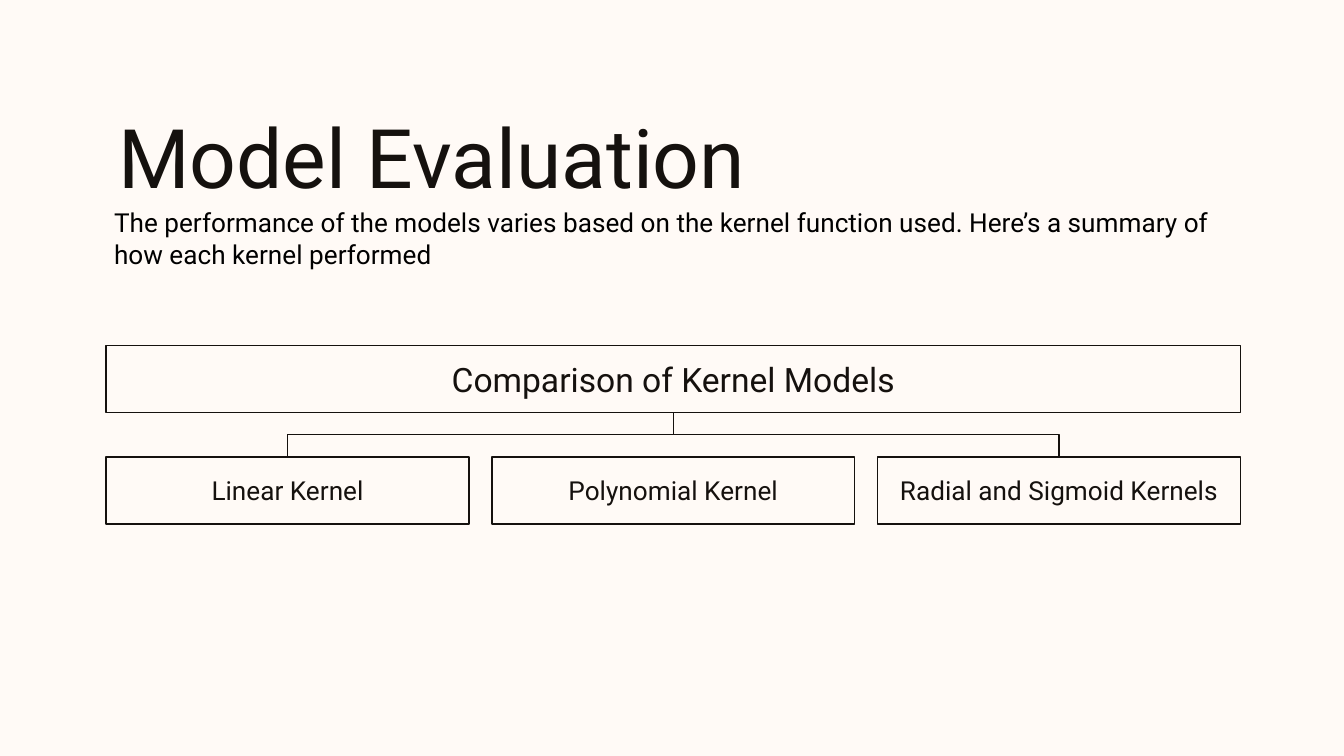
"""Build the Model Evaluation slide with its kernel comparison tree."""
from lxml import etree
from pptx import Presentation
from pptx.dml.color import RGBColor
from pptx.enum.shapes import MSO_CONNECTOR, MSO_SHAPE
from pptx.enum.text import MSO_ANCHOR, MSO_AUTO_SIZE, PP_ALIGN
from pptx.oxml.ns import qn
from pptx.util import Inches, Pt

ELBOW, RECT = MSO_CONNECTOR.ELBOW, MSO_SHAPE.RECTANGLE
TOP, MIDDLE = MSO_ANCHOR.TOP, MSO_ANCHOR.MIDDLE
LEFT, CENTER = PP_ALIGN.LEFT, PP_ALIGN.CENTER
NO_FIT = MSO_AUTO_SIZE.NONE

TITLE = "Model Evaluation"
SUMMARY = ("The performance of the models varies based on the kernel function used. "
           "Here’s a summary of how each kernel performed")
ROOT = "Comparison of Kernel Models"
KERNELS = ["Linear Kernel", "Polynomial Kernel", "Radial and Sigmoid Kernels"]

THEME = {
    "font": "Roboto",
    "background": RGBColor.from_string("FFFAF6"),
    "ink": RGBColor.from_string("15110E"),
    "black": RGBColor.from_string("000000"),
    "title": 44, "root": 18, "body": 14, "line": 0.75,
}

TREE_LEFT, TREE_WIDTH, BOX_HEIGHT = 0.79, 8.44, 0.5
ROOT_TOP, KERNEL_TOP, GAP = 2.57, 3.4, 0.17


def write(sp, text, size, color="ink", align=LEFT, anchor=TOP, inset=0.1):
    tf = sp.text_frame
    tf.word_wrap = True
    tf.auto_size = NO_FIT
    tf.vertical_anchor = anchor
    tf.margin_left = tf.margin_right = Inches(0.1)
    tf.margin_top = tf.margin_bottom = Inches(inset)
    p = tf.paragraphs[0]
    p.alignment = align
    r = p.add_run()
    r.text = text
    r.font.name = THEME["font"]
    r.font.size = Pt(THEME[size])
    r.font.color.rgb = THEME[color]


def outline(sp):
    sp.line.color.rgb = THEME["ink"]
    sp.line.width = Pt(THEME["line"])


def add_box(s, text, left, top, width, size):
    sp = s.shapes.add_shape(RECT, Inches(left), Inches(top), Inches(width), Inches(BOX_HEIGHT))
    sp.shadow.inherit = False
    sp.fill.background()
    outline(sp)
    write(sp, text, size, align=CENTER, anchor=MIDDLE)


def add_branch(s, x1, y1, x2, y2):
    mid_x, mid_y = (x1 + x2) / 2, (y1 + y2) / 2
    half_w, half_h = (y2 - y1) / 2, abs(x2 - x1) / 2
    side = 1 if x2 > x1 else -1
    sp = s.shapes.add_connector(
        ELBOW, Inches(mid_x + side * half_w), Inches(mid_y - half_h),
        Inches(mid_x - side * half_w), Inches(mid_y + half_h))
    sp_pr = sp._element.spPr
    sp_pr.find(qn("a:xfrm")).set("rot", str((270 if side > 0 else 90) * 60000))
    outline(sp)
    etree.SubElement(sp_pr, qn("a:effectLst"))


def main():
    prs = Presentation()
    prs.slide_width = Inches(10)
    prs.slide_height = Inches(10) * 9 // 16
    s = prs.slides.add_slide(prs.slide_layouts[5])
    s.background.fill.solid()
    s.background.fill.fore_color.rgb = THEME["background"]

    title = s.shapes.title
    title.left, title.top = Inches(0.78), Inches(0.69)
    title.width, title.height = Inches(8.44), Inches(0.97)
    write(title, TITLE, "title")

    summary = s.shapes.add_textbox(Inches(0.75), Inches(1.49), Inches(8.65), Inches(0.57))
    write(summary, SUMMARY, "body", color="black", inset=0.05)

    width = (TREE_WIDTH - GAP * (len(KERNELS) - 1)) / len(KERNELS)
    for i, kernel in enumerate(KERNELS):
        add_box(s, kernel, TREE_LEFT + i * (width + GAP), KERNEL_TOP, width, "body")
    add_box(s, ROOT, TREE_LEFT, ROOT_TOP, TREE_WIDTH, "root")

    center = TREE_LEFT + TREE_WIDTH / 2
    for side in (-1, 1):
        add_branch(s, center, ROOT_TOP + BOX_HEIGHT, center + side * (width + GAP), KERNEL_TOP)

    prs.save("out.pptx")


if __name__ == "__main__":
    main()
